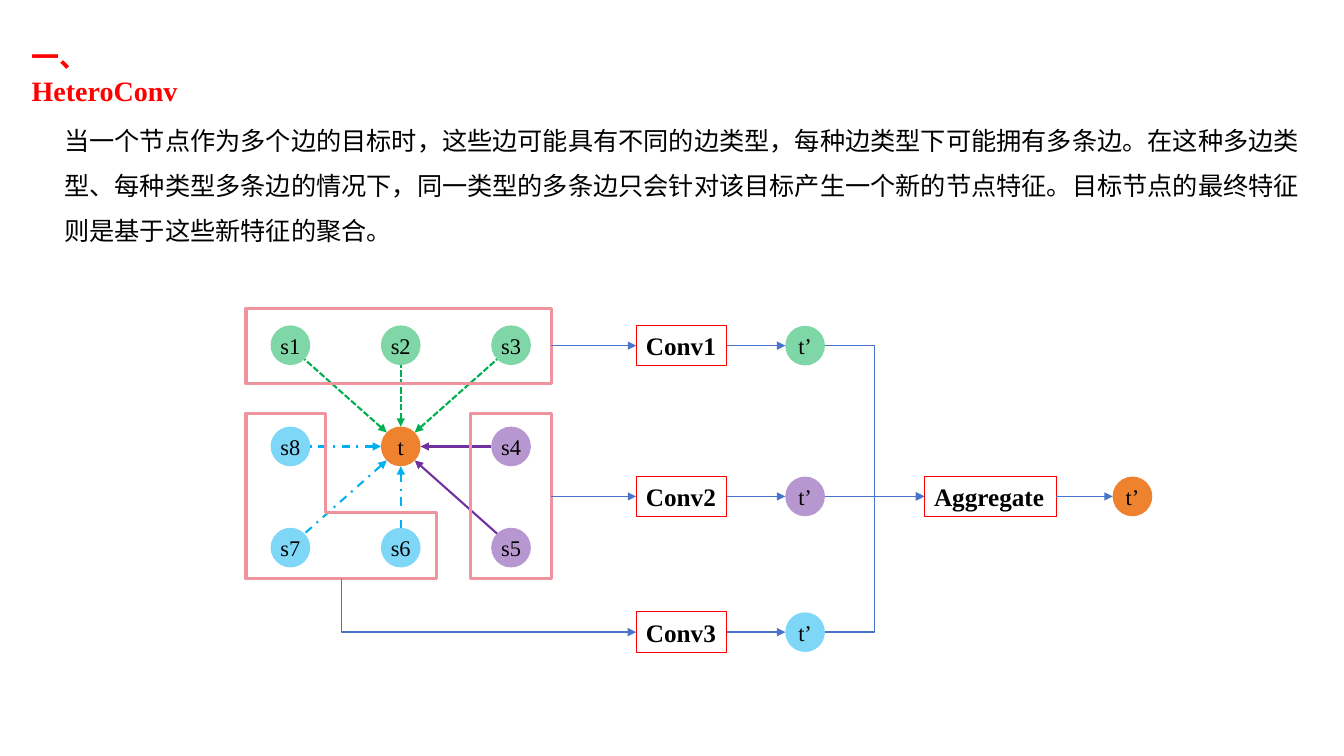
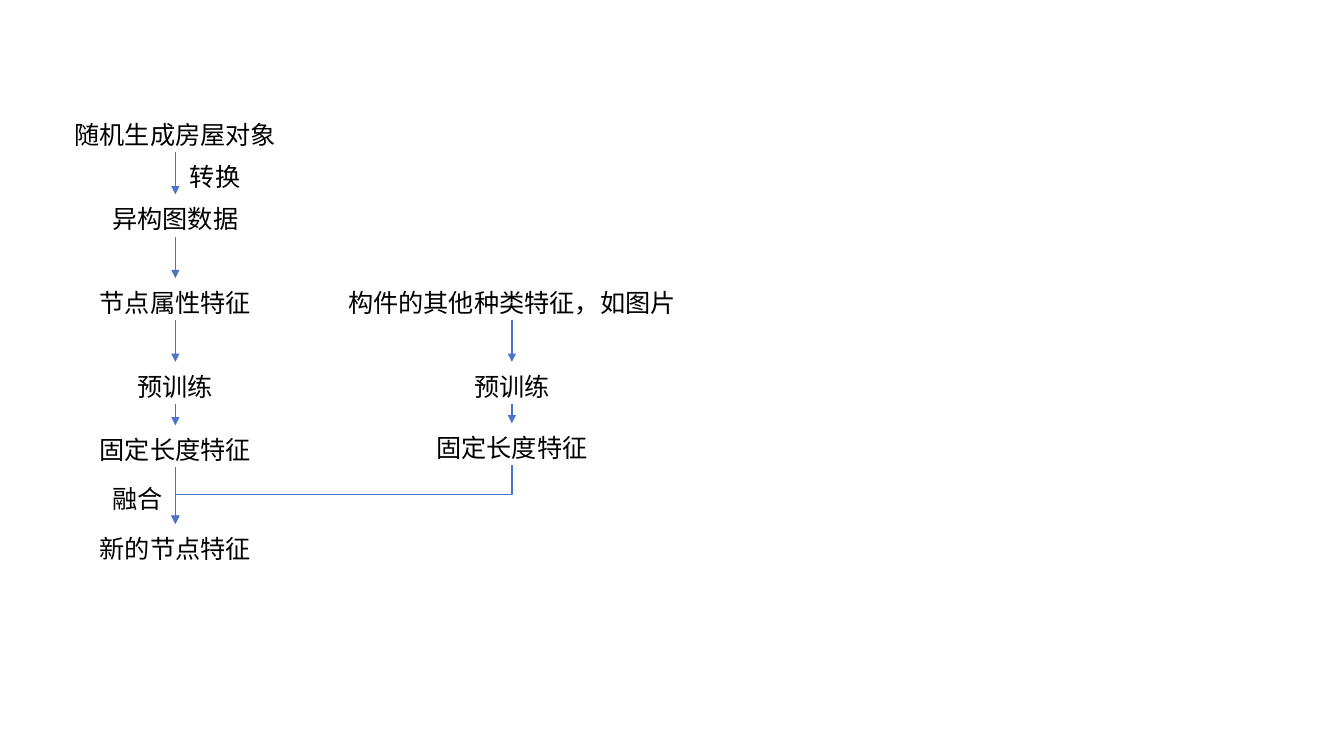
from math import hypot

from lxml import etree
from pptx import Presentation
from pptx.dml.color import RGBColor
from pptx.enum import dml, shapes, text
from pptx.oxml import ns
from pptx.util import Cm, Pt

COLORS = {
    "ink": "000000", "title": "FF0000", "box": "FF0000", "frame": "EF949E", "flow": "4874CB",
    "green": "00B050", "purple": "7030A0", "blue": "00B0F0", "target": "EE822F",
}
SERIF, SANS = "Times New Roman", "Noto Sans CJK SC"
NODE = 1.0
DASHES = {"green": dml.MSO_LINE.SQUARE_DOT, "blue": dml.MSO_LINE.DASH_DOT}
KINDS = ("green", "purple", "blue")


def rgb(name):
    """Return the palette colour called name."""
    return RGBColor.from_string(COLORS[name])


def write(shape, content, size, font=SERIF, color="ink", bold=False, align=None,
          spacing=None, wrap=False, anchor=text.MSO_ANCHOR.TOP):
    """Put one formatted paragraph into a shape."""
    frame = shape.text_frame
    frame.text = content
    frame.word_wrap = wrap
    frame.vertical_anchor = anchor
    paragraph = frame.paragraphs[0]
    paragraph.alignment = align or text.PP_ALIGN.LEFT
    if spacing:
        paragraph.line_spacing = spacing
    run = paragraph.runs[0]
    run.font.size, run.font.bold, run.font.name = Pt(size), bold, font
    run.font.color.rgb = rgb(color)
    etree.SubElement(run.font._element, ns.qn("a:ea")).set("typeface", SANS)


def add_text(slide, box, content, size, **style):
    """Add a text box and return it."""
    label = slide.shapes.add_textbox(*map(Cm, box))
    write(label, content, size, **style)
    return label


def add_outline(slide, box, color, width, preset=shapes.MSO_SHAPE.RECTANGLE):
    """Add an unfilled outlined shape."""
    outline = slide.shapes.add_shape(preset, *map(Cm, box))
    outline.shadow.inherit = False
    outline.fill.background()
    outline.line.color.rgb = rgb(color)
    outline.line.width = Pt(width)
    return outline


def add_node(slide, x, y, name, color):
    """Add a round graph node centred on x, y."""
    node = slide.shapes.add_shape(
        shapes.MSO_SHAPE.OVAL, Cm(x - NODE / 2), Cm(y - NODE / 2), Cm(NODE), Cm(NODE))
    node.shadow.inherit = False
    node.fill.solid()
    node.fill.fore_color.rgb = rgb(color)
    node.line.fill.background()
    if color != "target":
        tint = node._element.spPr.find(".//" + ns.qn("a:srgbClr"))
        etree.SubElement(tint, ns.qn("a:alpha")).set("val", "50000")
    frame = node.text_frame
    frame.margin_left = frame.margin_right = frame.margin_top = frame.margin_bottom = 0
    write(node, name, 16, align=text.PP_ALIGN.CENTER, wrap=True, anchor=text.MSO_ANCHOR.MIDDLE)


def add_arrow(slide, start, end, color="flow", width=1, dash=None, tip="tailEnd",
              kind=shapes.MSO_CONNECTOR.STRAIGHT):
    """Add a connector with a triangle at its tip."""
    arrow = slide.shapes.add_connector(kind, *map(Cm, (*start, *end)))
    arrow.line.color.rgb = rgb(color)
    arrow.line.width = Pt(width)
    if dash:
        arrow.line.dash_style = dash
    properties = arrow._element.spPr
    etree.SubElement(properties.find(ns.qn("a:ln")), ns.qn("a:" + tip)).set("type", "triangle")
    etree.SubElement(properties, ns.qn("a:effectLst"))
    return arrow


def add_drop(slide, start, end, preset="bentConnector3"):
    """Add an elbow arrow that leaves its start downwards."""
    (x1, y1), (x2, y2) = start, end
    middle_x, middle_y = (x1 + x2) / 2, (y1 + y2) / 2
    half_w, half_h = (y2 - y1) / 2, abs(x2 - x1) / 2
    rightward = x2 > x1
    if rightward:
        half_w = -half_w
    drop = add_arrow(slide, (middle_x - half_w, middle_y - half_h),
                     (middle_x + half_w, middle_y + half_h), kind=shapes.MSO_CONNECTOR.ELBOW)
    properties = drop._element.spPr
    properties.find(ns.qn("a:xfrm")).set("rot", "16200000" if rightward else "5400000")
    properties.find(ns.qn("a:prstGeom")).set("prst", preset)


def add_title(slide, box, content):
    """Add the red section title in the page corner."""
    title = add_text(slide, box, content, 20, color="title", bold=True, wrap=True)
    title.text_frame.margin_left, title.text_frame.margin_top = Cm(0.8), Cm(1)


def draw_neighbours(slide, box):
    """Draw the target, its eight sources, their edges and group frames."""
    left, top, width, height = box
    target = left + 3.9, top + 3.48
    pitch_x, pitch_y = 2.78, 2.55
    sources = [("s1", -1, -1, "green"), ("s2", 0, -1, "green"), ("s3", 1, -1, "green"),
               ("s4", 1, 0, "purple"), ("s5", 1, 1, "purple"),
               ("s6", 0, 1, "blue"), ("s7", -1, 1, "blue"), ("s8", -1, 0, "blue")]
    add_node(slide, *target, "t", "target")
    for name, column, row, color in sources:
        x, y = target[0] + column * pitch_x, target[1] + row * pitch_y
        add_node(slide, x, y, name, color)
        reach = NODE / 2 / hypot(column, row)
        add_arrow(slide, (target[0] + column * reach, target[1] + row * reach),
                  (x - column * reach, y - row * reach),
                  color, 1.5, DASHES.get(color), "headEnd")
    lower, lower_height = top + 2.64, height - 2.64
    corner = add_outline(slide, (left, lower, 4.8, lower_height), "frame", 2.25,
                         shapes.MSO_SHAPE.CORNER)
    corner.adjustments[0], corner.adjustments[1] = 0.4, 0.48
    add_outline(slide, (left, top, width, 1.9), "frame", 2.25)
    add_outline(slide, (left + width - 2.03, lower, 2.03, lower_height), "frame", 2.25)


def add_operator(slide, x, y, width, name):
    """Add a named operator box starting at x and centred on y."""
    operator = add_outline(slide, (x, y - 0.51, width, 1.02), "box", 0.75)
    write(operator, name, 18, bold=True, anchor=text.MSO_ANCHOR.MIDDLE)


def draw_convolutions(slide, box, corner_exit):
    """Draw the three convolutions and their aggregation."""
    left, top, width, height = box
    rows = (top + 0.51, top + 4.31, top + height - 0.51)
    conv_x, conv_width, feature_x = left + 2.14, 2.29, left + 6.4
    sum_x, sum_width, result_x = left + 9.4, 3.33, left + width - NODE / 2
    feature_exit = feature_x + NODE / 2
    for number, (y, color) in enumerate(zip(rows, KINDS), 1):
        add_operator(slide, conv_x, y, conv_width, f"Conv{number}")
        add_node(slide, feature_x, y, "t’", color)
        add_arrow(slide, (conv_x + conv_width, y), (feature_x - NODE / 2, y))
        bend = shapes.MSO_CONNECTOR.STRAIGHT if y == rows[1] else shapes.MSO_CONNECTOR.ELBOW
        add_arrow(slide, (feature_exit, y), (sum_x, rows[1]), kind=bend)
    for y in rows[:2]:
        add_arrow(slide, (left, y), (conv_x, y))
    add_drop(slide, corner_exit, (conv_x, rows[2]), "bentConnector2")
    add_operator(slide, sum_x, rows[1], sum_width, "Aggregate")
    add_arrow(slide, (sum_x + sum_width, rows[1]), (result_x - NODE / 2, rows[1]))
    add_node(slide, result_x, rows[1], "t’", "target")


def add_step(slide, x, y, content):
    """Add a step caption centred on x."""
    width = 0.64 * len(content) + 0.5
    add_text(slide, (x - width / 2, y, width, 1.06), content, 18,
             align=text.PP_ALIGN.CENTER, spacing=1.14)


def draw_pipeline(slide, box):
    """Draw the two feature pipelines and their fusion."""
    left, top, width, height = box
    graph_x, other_x, step = left + 2.82, left + 11.3, 1.06
    graph_steps = [("随机生成房屋对象", 0), ("异构图数据", 2.13), ("节点属性特征", 4.24),
                   ("预训练", 6.35), ("固定长度特征", 7.95), ("新的节点特征", height - step)]
    other_steps = [("构件的其他种类特征，如图片", 4.24), ("预训练", 6.35), ("固定长度特征", 7.9)]
    for x, steps in ((graph_x, graph_steps), (other_x, other_steps)):
        for content, offset in steps:
            add_step(slide, x, top + offset, content)
        for (_, before), (_, after) in zip(steps, steps[1:]):
            add_arrow(slide, (x, top + before + step), (x, top + after))
    add_drop(slide, (other_x, top + other_steps[-1][1] + step),
             (graph_x, top + graph_steps[-1][1]))
    add_step(slide, graph_x + 1, top + step, "转换")
    add_step(slide, graph_x - 0.95, top + 9.17, "融合")


def build_conv_slide(slide):
    """Compose the heterogeneous convolution slide."""
    add_text(slide, (1.37, 2.64, 32, 3.6),
             "当一个节点作为多个边的目标时，这些边可能具有不同的边类型，每种边类型下可能拥有多条边。"
             "在这种多边类型、每种类型多条边的情况下，同一类型的多条边只会针对该目标产生一个新的节点特征。"
             "目标节点的最终特征则是基于这些新特征的聚合。",
             18, font=SANS, spacing=1.5, wrap=True)
    left, top, width, height = graph = (6.2, 7.77, 7.69, 6.81)
    draw_neighbours(slide, graph)
    draw_convolutions(slide, (left + width, 8.2, 15.15, 8.24), (left + 2.4, top + height))
    add_title(slide, (0, 0, 5.6, 1.98), "一、HeteroConv")


def main():
    """Build and save the deck."""
    deck = Presentation()
    deck.slide_width, deck.slide_height = Cm(33.87), Cm(19.05)
    blank = deck.slide_layouts[6]
    build_conv_slide(deck.slides.add_slide(blank))
    draw_pipeline(deck.slides.add_slide(blank), (1.6, 2.77, 15.72, 11.49))
    deck.save("out.pptx")


if __name__ == "__main__":
    main()
